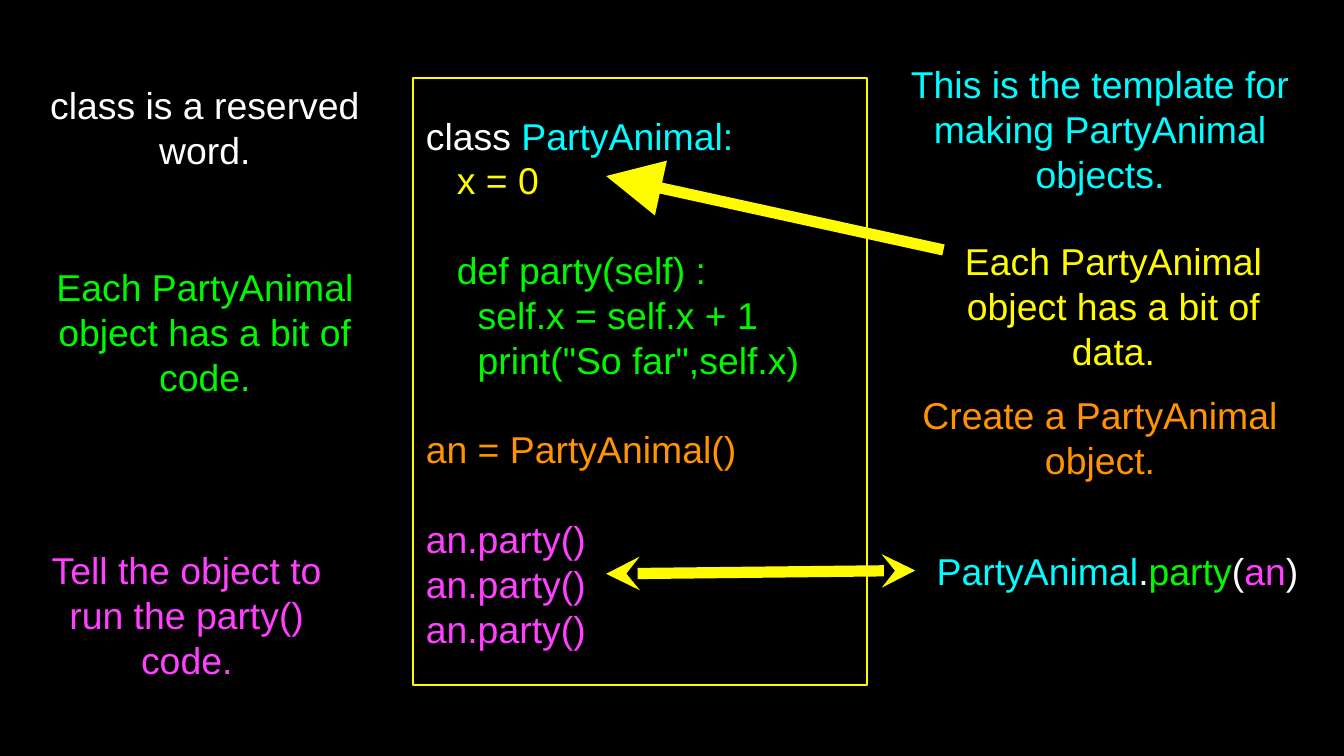
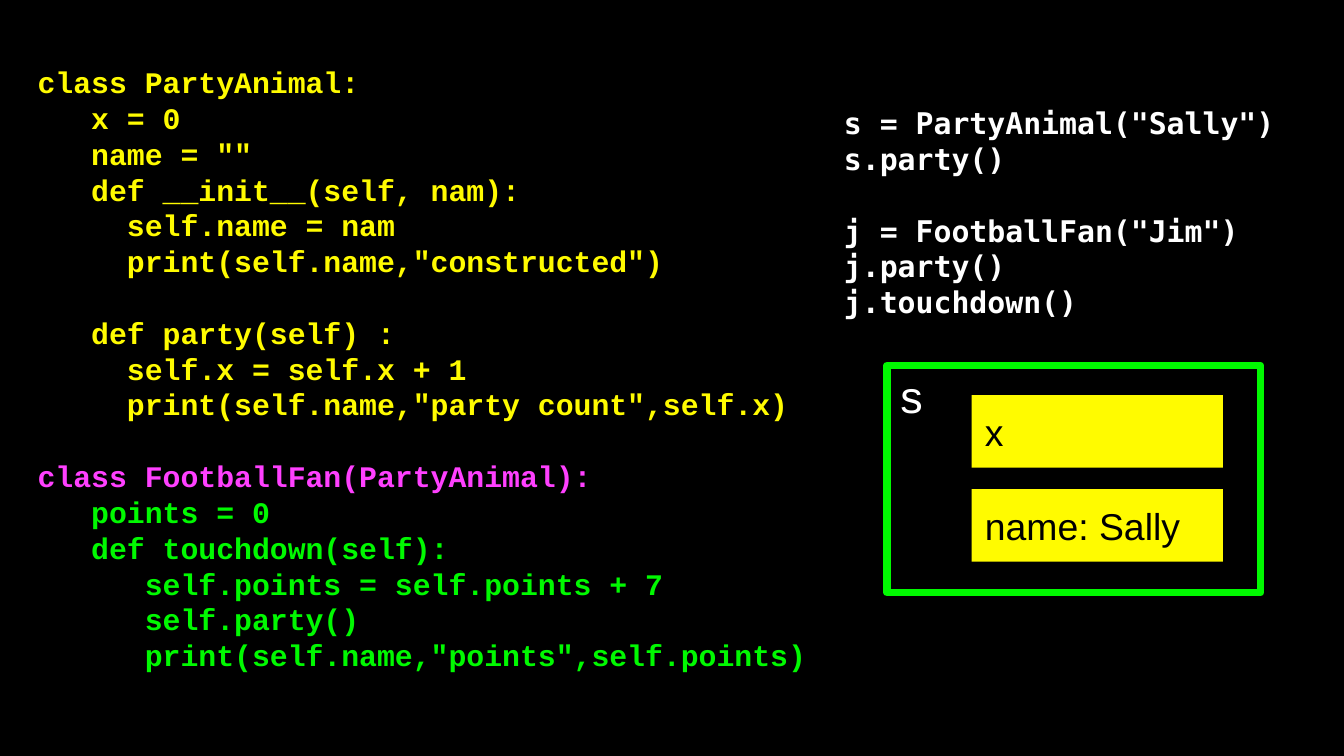
from dataclasses import dataclass

import pptx
import pptx.dml.color
import pptx.enum.shapes
import pptx.enum.text
import pptx.oxml
import pptx.oxml.ns
import pptx.util

ALIGN = pptx.enum.text.PP_ALIGN
ANCHOR = pptx.enum.text.MSO_ANCHOR
CELL = pptx.util.Inches(0.1)  # the grid: 100 columns, 56.25 rows


@dataclass(frozen=True)
class Theme:
    black: str = "000000"
    white: str = "FFFFFF"
    yellow: str = "FFFB00"
    cyan: str = "00FDFF"
    green: str = "00F900"
    orange: str = "FF9300"
    magenta: str = "FF40FF"
    sans: str = "Arial"
    mono: str = "Courier New"
    mono_alternate: str = "DejaVu Sans Mono"
    code: int = 16
    body: int = 20
    label: int = 24
    leading: float = 1.2
    inset: float = 0.2
    indent: float = 1


THEME = Theme()


def rgb(color):
    return pptx.dml.color.RGBColor.from_string(color)


def cells(*lengths):
    return [round(length * CELL) for length in lengths]


def apply(target, **values):
    for name, value in values.items():
        setattr(target, name, value)


def code(color, source):
    """Turn source lines into one-run paragraphs; an empty line becomes a gap."""
    return [[(line, color)] if line else [] for line in source.strip("\n").split("\n")]


def write(shape, paragraphs, size=THEME.body, font=THEME.sans, bold=False,
          align=ALIGN.LEFT, anchor=ANCHOR.MIDDLE, indent=THEME.inset):
    """Fill a shape with paragraphs, each a list of (text, color) runs."""
    frame = shape.text_frame
    left, inset = cells(indent, THEME.inset)
    apply(frame, word_wrap=True, vertical_anchor=anchor, margin_left=left,
          margin_right=inset, margin_top=inset, margin_bottom=inset)
    line_height = pptx.util.Pt(size * THEME.leading)
    paragraph, gap = frame.paragraphs[0], 0
    for runs in paragraphs:
        if not runs:
            gap += line_height
            continue
        if paragraph.runs:
            paragraph = frame.add_paragraph()
        apply(paragraph, alignment=align, line_spacing=line_height, space_before=gap)
        gap = 0
        for text, color in runs:
            run = paragraph.add_run()
            run.text = text
            apply(run.font, name=font, size=pptx.util.Pt(size), bold=bold)
            run.font.color.rgb = rgb(color)


def add_text(slide, area, paragraphs, **style):
    box = slide.shapes.add_textbox(*cells(*area))
    write(box, paragraphs, **style)
    return box


def add_note(slide, area, *runs):
    return add_text(slide, area, [runs], align=ALIGN.CENTER)


def add_panel(slide, area, paragraphs, fill=None, line=None, line_width=1, **style):
    panel = slide.shapes.add_shape(
        pptx.enum.shapes.MSO_SHAPE.RECTANGLE, *cells(*area))
    panel.shadow.inherit = False
    if fill:
        panel.fill.solid()
        panel.fill.fore_color.rgb = rgb(fill)
    else:
        panel.fill.background()
    if line:
        panel.line.color.rgb = rgb(line)
        panel.line.width = pptx.util.Pt(line_width)
    else:
        panel.line.fill.background()
    write(panel, paragraphs, indent=THEME.indent, **style)


def add_arrow(slide, start, end, head, size, tail=None):
    arrow = slide.shapes.add_connector(
        pptx.enum.shapes.MSO_CONNECTOR.STRAIGHT, *cells(*start, *end))
    arrow.line.color.rgb = rgb(THEME.yellow)
    arrow.line.width = pptx.util.Pt(6)
    line = arrow.line._get_or_add_ln()
    for tag, kind in (("a:headEnd", head), ("a:tailEnd", tail)):
        if kind:
            element = pptx.oxml.ns.qn(tag)
            line.append(line.makeelement(element, {"type": kind, "w": size, "len": size}))
    effects = pptx.oxml.parse_xml(f"<a:effectLst {pptx.oxml.ns.nsdecls('a')}/>")
    arrow._element.spPr.append(effects)
    return arrow


def add_black_slide(presentation):
    slide = presentation.slides.add_slide(presentation.slide_layouts[6])
    slide.background.fill.solid()
    slide.background.fill.fore_color.rgb = rgb(THEME.black)
    return slide


def build_class_anatomy(presentation):
    slide = add_black_slide(presentation)
    listing = [
        [("class ", THEME.white), ("PartyAnimal:", THEME.cyan)],
        *code(THEME.yellow, "   x = 0\n"),
        [],
        *code(THEME.green, """
   def party(self) :
     self.x = self.x + 1
     print("So far",self.x)
"""),
        [],
        *code(THEME.orange, "an = PartyAnimal()"),
        [],
        *code(THEME.magenta, "an.party()\nan.party()\nan.party()"),
    ]
    add_panel(slide, (30.7, 5.8, 33.8, 45.2), listing, line=THEME.yellow)

    notes = [
        ((67.4, 3.9, 28.9, 11.3), THEME.cyan,
         "This is the template for making PartyAnimal objects."),
        ((0.8, 5.8, 28.9, 7.3), THEME.white, "class is a reserved word."),
        ((68.4, 17.4, 28.9, 10.7), THEME.yellow,
         "Each PartyAnimal object has a bit of data."),
        ((0.8, 19.3, 28.9, 10.7), THEME.green,
         "Each PartyAnimal object has a bit of code."),
        ((67.4, 28.9, 28.9, 7.3), THEME.orange, "Create a PartyAnimal object."),
        ((2.7, 40.4, 22.4, 10.7), THEME.magenta,
         "Tell the object to run the party() code."),
    ]
    for area, color, text in notes:
        add_note(slide, area, (text, color))

    add_arrow(slide, (45.1, 13.1), (70.2, 18.6), "triangle", "lg")
    call = add_note(
        slide, (68.1, 40.4, 30.1, 4.1),
        ("PartyAnimal", THEME.cyan), (".", THEME.white), ("party", THEME.green),
        ("(", THEME.white), ("an", THEME.magenta), (")", THEME.white))
    call_arrow = add_arrow(
        slide, (45.1, 42.7), (68.1, 42.4), "stealth", "med", tail="stealth")
    call_arrow.end_connect(call, 1)


def build_inheritance(presentation):
    slide = add_black_slide(presentation)
    classes = [
        *code(THEME.yellow, """
class PartyAnimal:
   x = 0
   name = ""
   def __init__(self, nam):
     self.name = nam
     print(self.name,"constructed")

   def party(self) :
     self.x = self.x + 1
     print(self.name,"party count",self.x)
"""),
        [],
        *code(THEME.magenta, "class FootballFan(PartyAnimal):"),
        *code(THEME.green, """
   points = 0
   def touchdown(self):
      self.points = self.points + 7
      self.party()
      print(self.name,"points",self.points)
"""),
    ]
    usage = code(THEME.white, """
s = PartyAnimal("Sally")
s.party()

j = FootballFan("Jim")
j.party()
j.touchdown()
""")
    add_text(slide, (2.6, 1.7, 58.5, 51.4), classes,
             size=THEME.code, font=THEME.mono, bold=True)
    add_text(slide, (62.6, 6.6, 35.6, 18.4), usage,
             size=THEME.code, font=THEME.mono_alternate, bold=True)

    add_panel(slide, (66, 27.2, 27.8, 16.9), [[("s", THEME.white)]],
              line=THEME.green, line_width=4, size=THEME.label, anchor=ANCHOR.TOP)
    for index, field in enumerate(("x", "name: Sally")):
        add_panel(slide, (72.3, 29.4 + 7 * index, 18.7, 5.4),
                  [[(field, THEME.black)]], fill=THEME.yellow)


def main():
    presentation = pptx.Presentation()
    width, height = cells(100, 56.25)
    apply(presentation, slide_width=width, slide_height=height)
    build_class_anatomy(presentation)
    build_inheritance(presentation)
    presentation.save("out.pptx")


if __name__ == "__main__":
    main()
